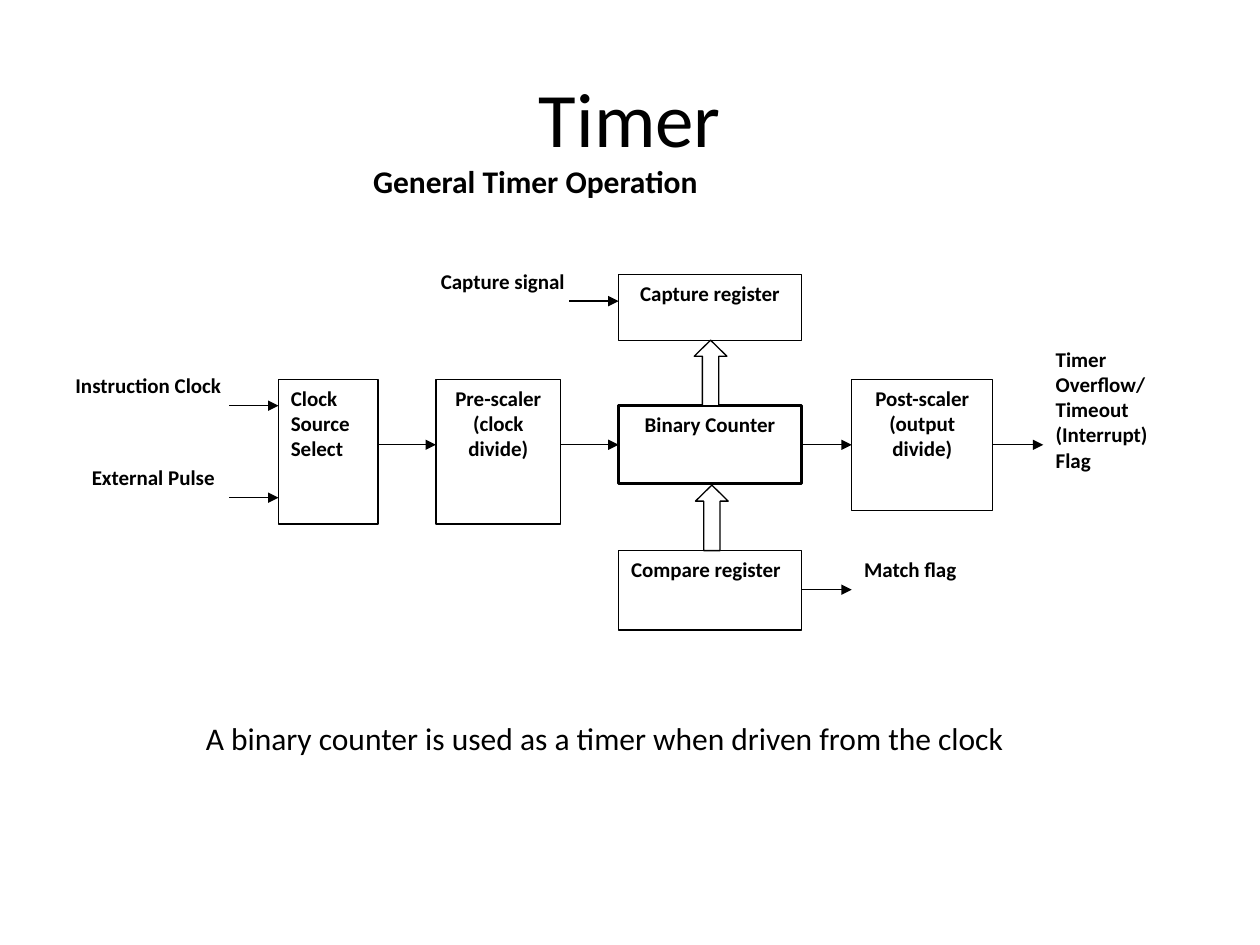
from lxml import etree
from pptx import Presentation
from pptx.dml.color import RGBColor
from pptx.enum.shapes import MSO_CONNECTOR, MSO_SHAPE
from pptx.enum.text import MSO_ANCHOR, PP_ALIGN
from pptx.oxml.ns import qn
from pptx.util import Inches, Pt

RECT, ARROW = MSO_SHAPE.RECTANGLE, MSO_SHAPE.UP_ARROW
LINE = MSO_CONNECTOR.STRAIGHT
LEFT, MID = PP_ALIGN.LEFT, PP_ALIGN.CENTER
TOP, HALF = MSO_ANCHOR.TOP, MSO_ANCHOR.MIDDLE
COLS, ROWS = 100, 75


def tint(code):
    """Turn a hex string into a colour."""
    return RGBColor.from_string(code)


class Page:
    """Style and current slide; lengths are in columns and rows."""

    ink, paper, thin = "000000", "FFFFFF", 0.75
    label = {"name": "Calibri", "size": Pt(12), "bold": True}
    head = {"name": "Calibri", "size": Pt(18), "bold": True}
    note = {"name": "Calibri", "size": Pt(18), "bold": False}
    title = {"name": "Calibri", "size": Pt(44), "bold": False}

    def __init__(self, deck):
        """Add a title-only slide to the deck."""
        self.unit = deck.slide_width / COLS, deck.slide_height / ROWS
        self.slide = deck.slides.add_slide(deck.slide_layouts[5])
        self.shapes = self.slide.shapes

    def grid(self, *spots):
        """Turn column and row values, in turn, into lengths."""
        return [round(n * self.unit[i % 2]) for i, n in enumerate(spots)]

    def fill(self, shape, text, form, align, anchor=TOP):
        """Put formatted paragraphs into a shape."""
        frame = shape.text_frame
        frame.word_wrap = True
        frame.vertical_anchor = anchor
        frame.text = text
        for para in frame.paragraphs:
            para.alignment = align
            for run in para.runs:
                run.font.color.rgb = tint(self.ink)
                for key, value in form.items():
                    setattr(run.font, key, value)

    def top(self, text, *spot):
        """Fill and move the title placeholder."""
        shape = self.shapes.title
        shape.left, shape.top, shape.width, shape.height = self.grid(*spot)
        self.fill(shape, text, self.title, MID, HALF)

    def text(self, text, spot, form=None, align=LEFT):
        """Add a text box."""
        shape = self.shapes.add_textbox(*self.grid(*spot))
        self.fill(shape, text, form or self.label, align)

    def block(self, kind, spot, width=thin):
        """Add an outlined shape."""
        shape = self.shapes.add_shape(kind, *self.grid(*spot))
        shape.shadow.inherit = False
        shape.fill.solid()
        shape.fill.fore_color.rgb = tint(self.paper)
        shape.line.color.rgb = tint(self.ink)
        shape.line.width = Pt(width)
        return shape

    def box(self, text, spot, align=MID, width=thin):
        """Add a box with a label."""
        self.fill(self.block(RECT, spot, width), text, self.label, align)

    def rise(self, *spot):
        """Add a hollow arrow that points up."""
        self.block(ARROW, spot).adjustments[1] = 0.49

    def flow(self, start, end, row):
        """Add a level line with an arrowhead at its end."""
        line = self.shapes.add_connector(LINE, *self.grid(start, row, end, row))
        line.line.color.rgb = tint(self.ink)
        line.line.width = Pt(self.thin)
        props = line._element.spPr
        etree.SubElement(props.find(qn("a:ln")), qn("a:tailEnd"), type="triangle")
        etree.SubElement(props, qn("a:effectLst"))


def main():
    """Build the timer slide."""
    deck = Presentation()
    deck.slide_width, deck.slide_height = Inches(10), Inches(7.5)
    page = Page(deck)
    page.top("Timer", 5, 3, 90, 12.5)
    page.text("General Timer Operation", (7.5, 12.4, 70, 4), page.head, MID)
    page.text("A binary counter is used as a timer when driven from the clock",
              (5, 56.6, 86, 4), page.note, MID)

    clock, scale, count, post = 22.1, 34.6, 49.1, 67.6
    wide, axis = 14.5, 35.3
    edge = count + wide
    page.box("Clock\nSource\nSelect", (clock, 30.1, 7.9, 11.5), LEFT)
    page.box("Pre-scaler\n(clock divide)", (scale, 30.1, 9.9, 11.5))
    page.box("Post-scaler\n(output divide)", (post, 30.1, 11.2, 10.4))
    page.box("Capture register", (count, 21.8, wide, 5.2))
    page.box("Binary Counter", (count, 32.2, wide, 6.2), width=1.5)
    page.box("Compare register", (count, 43.7, wide, 6.3), LEFT)
    page.rise(55.1, 27, 2.6, 5.2)
    page.rise(55.2, 38.5, 2.6, 5.2)

    for start, end, row in (
        (18.2, clock, 32.2), (18.2, clock, 39.5), (45.2, count, 23.9),
        (30, scale, axis), (44.5, count, axis), (edge, post, axis),
        (78.8, 82.8, axis), (edge, post, 46.8),
    ):
        page.flow(start, end, row)

    for text, *spot in (
        ("Instruction Clock", 5, 29.1, 13.8, 6.3),
        ("External Pulse", 6.3, 36.4, 13.8, 6.2),
        ("Capture signal", 34, 20.8, 13.2, 5.2),
        ("Match flag", post, 43.7, 11.2, 6.3),
        ("Timer\nOverflow/\nTimeout\n(Interrupt)\nFlag", 82.8, 27, 10.5, 16.7),
    ):
        page.text(text, spot)
    deck.save("out.pptx")


if __name__ == "__main__":
    main()
